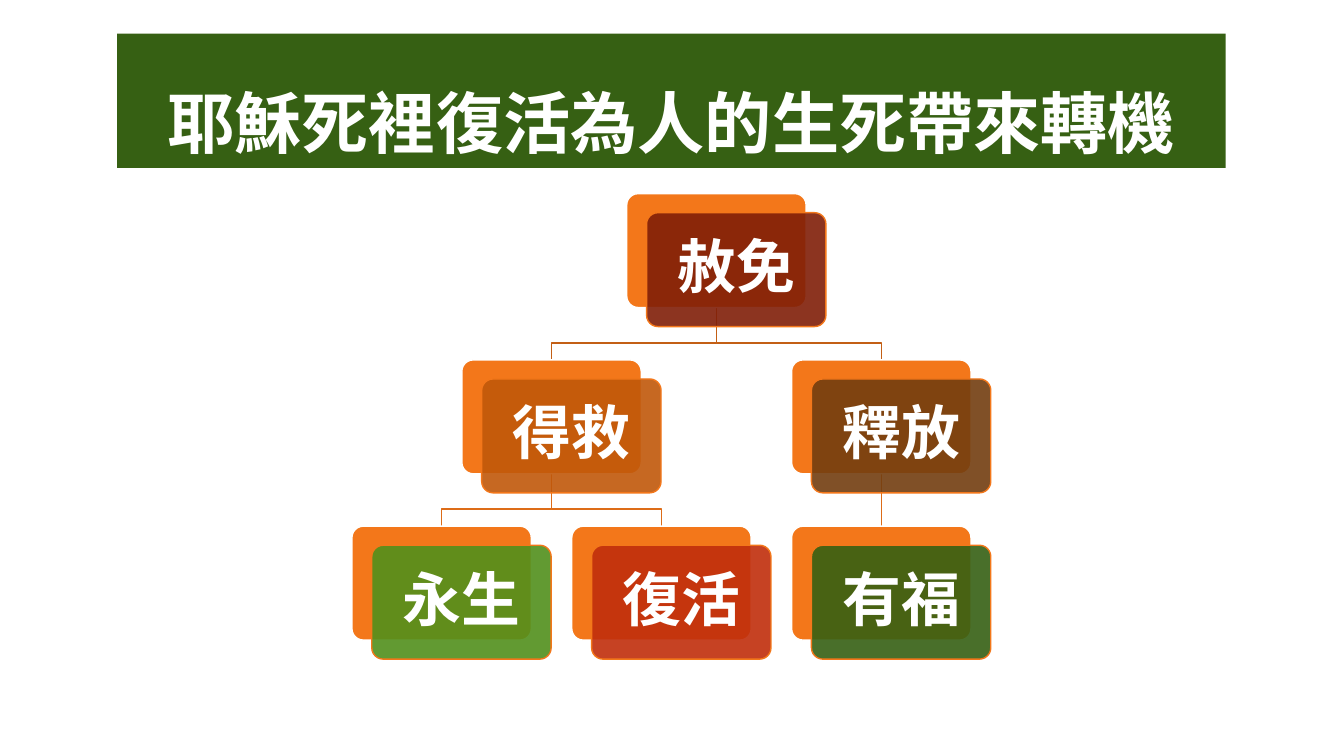
"""Build a slide with a title band and a three-level tree of cards."""
from dataclasses import dataclass
from typing import Optional

from lxml.etree import SubElement as Sub
from pptx import Presentation as Deck
from pptx.dml.color import RGBColor as Rgb
from pptx.enum.shapes import MSO_CONNECTOR as Link, MSO_SHAPE as Kind
from pptx.enum.text import MSO_ANCHOR as Anchor, PP_ALIGN as Align
from pptx.oxml.ns import qn
from pptx.shapes.autoshape import Shape
from pptx.shapes.shapetree import SlideShapes as Shapes
from pptx.util import Cm, Pt


@dataclass(frozen=True)
class Theme:
    """Colours, font and type sizes."""
    font: str = "Noto Sans CJK TC"
    head: int = 48
    body: int = 42
    white: str = "FFFFFF"
    band: str = "366013"
    back: str = "F3771A"
    lines: tuple[str, ...] = ("C35F15", "DD6C18")
    alpha: int = 90


@dataclass(frozen=True)
class Node:
    """A card placed by column slot and row under its parent."""
    text: str
    slot: float
    row: int
    fill: str
    up: Optional["Node"] = None

    @property
    def mid(self) -> float:
        """Return the centre of the back card."""
        return 11.13 + self.slot * 2.77

    @property
    def top(self) -> float:
        """Return the top of the back card."""
        return 4.88 + self.row * 4.19


THEME = Theme()
WIDE, HIGH = 4.52, 2.87
SHIFT, DROP = 0.5, 0.48
STEM = 0.89

PARDON = Node("赦免", 2.5, 0, "801F08")
SAVED = Node("得救", 1, 1, "C0580A", PARDON)
FREED = Node("釋放", 4, 1, "733E10", PARDON)
NODES = (
    PARDON,
    SAVED,
    Node("永生", 0, 2, "52901C", SAVED),
    Node("復活", 2, 2, "C02E0C", SAVED),
    FREED,
    Node("有福", 4, 2, "366013", FREED),
)


def add_box(shapes: Shapes, kind: Kind, left: float, top: float,
            wide: float, high: float, fill: str, edge: Optional[str] = None) -> Shape:
    """Add a flat filled shape."""
    box = shapes.add_shape(kind, Cm(left), Cm(top), Cm(wide), Cm(high))
    box.shadow.inherit = False
    box.fill.solid()
    box.fill.fore_color.rgb = Rgb.from_string(fill)
    if edge:
        box.line.color.rgb = Rgb.from_string(edge)
        box.line.width = Pt(1)
    else:
        box.line.fill.background()
    return box


def add_text(box: Shape, text: str, size: int, anchor: Anchor) -> None:
    """Write centred bold white text in a shape."""
    frame = box.text_frame
    frame.text = text
    frame.word_wrap = True
    frame.vertical_anchor = anchor
    para = frame.paragraphs[0]
    para.alignment = Align.CENTER
    para.line_spacing = 0.9
    run = para.runs[0]
    run.font.size = Pt(size)
    run.font.bold = True
    run.font.color.rgb = Rgb.from_string(THEME.white)
    run.font.name = THEME.font
    Sub(run._r.get_or_add_rPr(), qn("a:ea"), typeface=THEME.font)


def add_link(shapes: Shapes, node: Node) -> None:
    """Join a node to its parent with a straight or bent line."""
    up = node.up
    if up is None:
        return
    foot = up.top + HIGH
    if up.slot == node.slot:
        line = shapes.add_connector(Link.STRAIGHT, Cm(up.mid), Cm(foot), Cm(node.mid), Cm(node.top))
        Sub(line._element.spPr, qn("a:effectLst"))
    else:
        bend = foot + STEM
        path = shapes.build_freeform(Cm(up.mid), Cm(foot))
        path.add_line_segments([(Cm(up.mid), Cm(bend)), (Cm(node.mid), Cm(bend)),
                                (Cm(node.mid), Cm(node.top))], close=False)
        line = path.convert_to_shape()
        line.shadow.inherit = False
        line.fill.background()
    line.line.color.rgb = Rgb.from_string(THEME.lines[up.row])
    line.line.width = Pt(1)


def add_card(shapes: Shapes, node: Node) -> None:
    """Draw the back card and the sheer front card with its word."""
    left = node.mid - WIDE / 2
    back = add_box(shapes, Kind.ROUNDED_RECTANGLE, left, node.top,
                   WIDE, HIGH, THEME.back, THEME.white)
    front = add_box(shapes, Kind.ROUNDED_RECTANGLE, left + SHIFT, node.top + DROP,
                    WIDE, HIGH, node.fill, THEME.back)
    for card in (back, front):
        card.adjustments[0] = 0.1
    tint = front._element.spPr.find(qn("a:solidFill")).find(qn("a:srgbClr"))
    Sub(tint, qn("a:alpha"), val=str(THEME.alpha * 1000))
    add_text(front, node.text, THEME.body, Anchor.MIDDLE)


def main() -> None:
    """Build and save the deck."""
    deck = Deck()
    deck.slide_width, deck.slide_height = Cm(33.87), Cm(19.05)
    shapes = deck.slides.add_slide(deck.slide_layouts[6]).shapes
    band = add_box(shapes, Kind.RECTANGLE, 2.95, 0.85, 27.94, 3.38, THEME.band)
    add_text(band, "耶穌死裡復活為人的生死帶來轉機", THEME.head, Anchor.BOTTOM)
    for draw in (add_link, add_card):
        for node in NODES:
            draw(shapes, node)
    deck.save("out.pptx")


if __name__ == "__main__":
    main()
